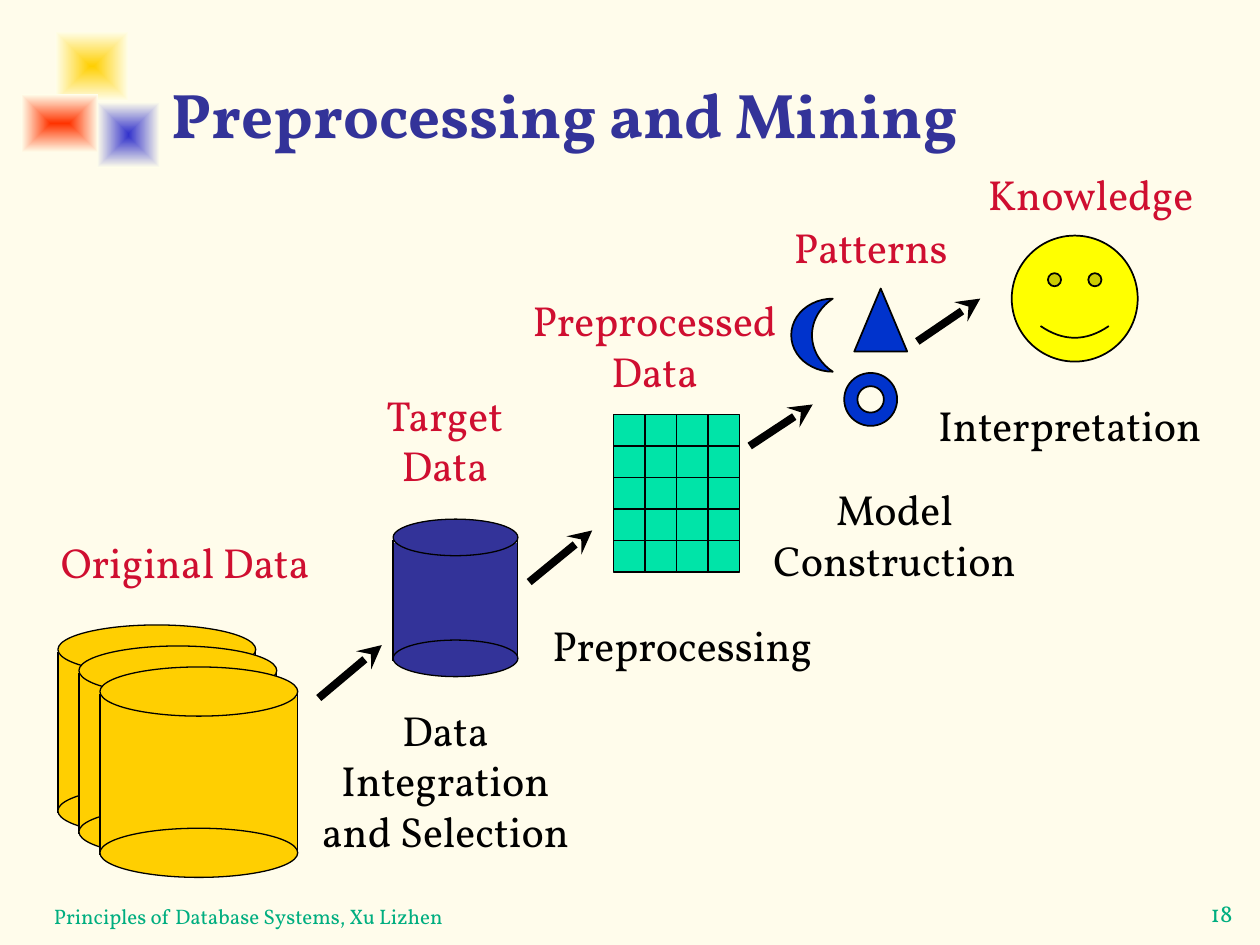
from lxml.etree import SubElement
from pptx import Presentation
from pptx.dml.color import RGBColor
from pptx.enum.shapes import MSO_CONNECTOR as Connector, MSO_SHAPE as Shape
from pptx.enum.text import MSO_ANCHOR as Anchor, PP_ALIGN as Align
from pptx.oxml.ns import qn
from pptx.util import Inches, Pt

CREAM = RGBColor(0xFF, 0xFC, 0xEB)
PALE = RGBColor(0xFF, 0xFE, 0xEB)
GOLD = RGBColor(0xFF, 0xCF, 0x01)
VIOLET = RGBColor(0x33, 0x33, 0xCC)
ORANGE = RGBColor(0xFF, 0x33, 0x00)
INDIGO = RGBColor(0x33, 0x33, 0x99)
BLUE = RGBColor(0x00, 0x33, 0xCC)
MINT = RGBColor(0x00, 0xE4, 0xA8)
GREEN = RGBColor(0x00, 0xAE, 0x80)
YELLOW = RGBColor(0xFF, 0xFF, 0x00)
RED = RGBColor(0xCF, 0x0E, 0x30)
BLACK = RGBColor(0, 0, 0)
WHITE = RGBColor(0xFF, 0xFF, 0xFF)


class Painter:
    """Draws the elements of one page in a shared style."""

    font = "Vollkorn"

    def __init__(self, deck):
        self.page = deck.slides.add_slide(deck.slide_layouts[5])
        self.shapes = self.page.shapes
        fill = self.page.background.fill
        fill.solid()
        fill.fore_color.rgb = CREAM

    def set_text(self, box, text, size, color, align, bold=False):
        para = box.text_frame.paragraphs[0]
        para.text = text
        para.alignment = align
        for span in para.runs:
            span.font.name = self.font
            span.font.size = Pt(size)
            span.font.bold = bold
            span.font.color.rgb = color

    def title(self, text, left, top, width, height):
        box = self.shapes.title
        box.left, box.top = Inches(left), Inches(top)
        box.width, box.height = Inches(width), Inches(height)
        box.text_frame.vertical_anchor = Anchor.BOTTOM
        self.set_text(box, text, 36, INDIGO, Align.LEFT, bold=True)

    def label(self, text, left, top, width, height, color, size=24,
              align=Align.CENTER, anchor=Anchor.TOP, wrap=False):
        box = self.shapes.add_textbox(Inches(left), Inches(top), Inches(width), Inches(height))
        box.text_frame.word_wrap = wrap
        box.text_frame.vertical_anchor = anchor
        self.set_text(box, text, size, color, align)

    def shape(self, kind, left, top, width, height, color, line=BLACK, weight=1, group=None):
        shapes = group.shapes if group else self.shapes
        shape = shapes.add_shape(kind, Inches(left), Inches(top), Inches(width), Inches(height))
        shape.shadow.inherit = False
        shape.fill.solid()
        shape.fill.fore_color.rgb = color
        shape.line.color.rgb = line
        shape.line.width = Pt(weight)
        return shape

    def line(self, x1, y1, x2, y2, weight=1, group=None):
        shapes = group.shapes if group else self.shapes
        line = shapes.add_connector(Connector.STRAIGHT, Inches(x1), Inches(y1),
                                    Inches(x2), Inches(y2))
        line.line.color.rgb = BLACK
        line.line.width = Pt(weight)
        SubElement(line._element.spPr, qn("a:effectLst"))
        return line

    def arrow(self, x1, y1, x2, y2):
        arrow = self.line(x1, y1, x2, y2, 4.5)
        SubElement(arrow._element.spPr.find(qn("a:ln")), qn("a:tailEnd"), type="stealth")

    def glow(self, left, top, width, height, color):
        glow = self.shape(Shape.RECTANGLE, left, top, width, height, color)
        glow.line.fill.background()
        glow.fill.gradient()
        for stop, shade in zip(glow.fill.gradient_stops, (color, PALE)):
            stop.color.rgb = shade
        gradient = glow._element.spPr.find(qn("a:gradFill"))
        gradient.remove(gradient.find(qn("a:lin")))
        route = SubElement(gradient, qn("a:path"))
        route.set("path", "rect")
        SubElement(route, qn("a:fillToRect"), l="50000", t="50000", r="50000", b="50000")

    def cylinder(self, left, top, width, body, cap, color):
        group = self.shapes.add_group_shape()
        middle = top + cap / 2
        self.shape(Shape.RECTANGLE, left, middle + 0.04, width, body - 0.07, color,
                   WHITE, 0.75, group)
        for x in (left, left + width):
            self.line(x, middle + 0.02, x, middle + body + 0.02, 0.75, group)
        for y in (top, top + body):
            self.shape(Shape.OVAL, left, y, width, cap, color, BLACK, 0.75, group)

    def grid(self, left, top, columns, rows, cell):
        group = self.shapes.add_group_shape()
        right, bottom = left + columns * cell, top + rows * cell
        self.shape(Shape.RECTANGLE, left, top, columns * cell, rows * cell, MINT, group=group)
        for column in range(1, columns):
            x = left + column * cell
            self.line(x, top, x, bottom, group=group)
        for row in range(1, rows):
            y = top + row * cell
            self.line(left, y, right, y, group=group)


def main():
    deck = Presentation()
    deck.slide_width, deck.slide_height = Inches(10), Inches(7.5)
    painter = Painter(deck)

    painter.glow(0.44, 0.25, 0.58, 0.55, GOLD)
    painter.glow(0.77, 0.81, 0.5, 0.52, VIOLET)
    painter.glow(0.17, 0.75, 0.61, 0.46, ORANGE)
    painter.title("Preprocessing and Mining", 1.26, 0.17, 8.52, 1.08)
    painter.label("18", 9.1, 7.08, 1.19, 0.38, GREEN, 14)
    painter.label("Principles of Database Systems, Xu Lizhen", 0.33, 6.92, 6.5, 0.5,
                  GREEN, 12, Align.LEFT, Anchor.BOTTOM, wrap=True)

    for step in range(3):
        painter.cylinder(0.46 + step / 6, 4.96 + step / 6, 1.57, 1.28, 0.39, GOLD)
    painter.cylinder(3.12, 4.12, 0.99, 0.96, 0.29, INDIGO)
    painter.grid(4.87, 3.29, 4, 5, 0.25)
    painter.shape(Shape.MOON, 6.28, 2.37, 0.33, 0.58, BLUE)
    painter.shape(Shape.ISOSCELES_TRIANGLE, 6.78, 2.29, 0.42, 0.5, BLUE)
    painter.shape(Shape.DONUT, 6.7, 2.96, 0.42, 0.42, BLUE)
    painter.shape(Shape.SMILEY_FACE, 8.03, 1.87, 1, 1, YELLOW)

    for ends in ((2.53, 5.54, 3.03, 5.12), (4.2, 4.62, 4.7, 4.21),
                 (5.95, 3.54, 6.45, 3.21), (7.28, 2.71, 7.78, 2.37)):
        painter.arrow(*ends)

    stages = (
        ("Original Data", 0.31, 4.21, 2.32, 0.5),
        ("Target\nData", 2.92, 3.04, 1.22, 0.9),
        ("Preprocessed\nData", 4.04, 2.29, 2.31, 0.9),
        ("Patterns", 6.15, 1.71, 1.52, 0.5),
        ("Knowledge", 7.67, 1.29, 1.97, 0.5),
    )
    actions = (
        ("Data\nIntegration\nand Selection", 2.37, 5.54, 2.33, 1.3),
        ("Preprocessing", 4.2, 4.87, 2.43, 0.5),
        ("Model\nConstruction", 5.98, 3.79, 2.24, 0.9),
        ("Interpretation", 7.26, 3.12, 2.46, 0.5),
    )
    for labels, color in ((stages, RED), (actions, BLACK)):
        for label in labels:
            painter.label(*label, color)

    deck.save("out.pptx")


if __name__ == "__main__":
    main()
